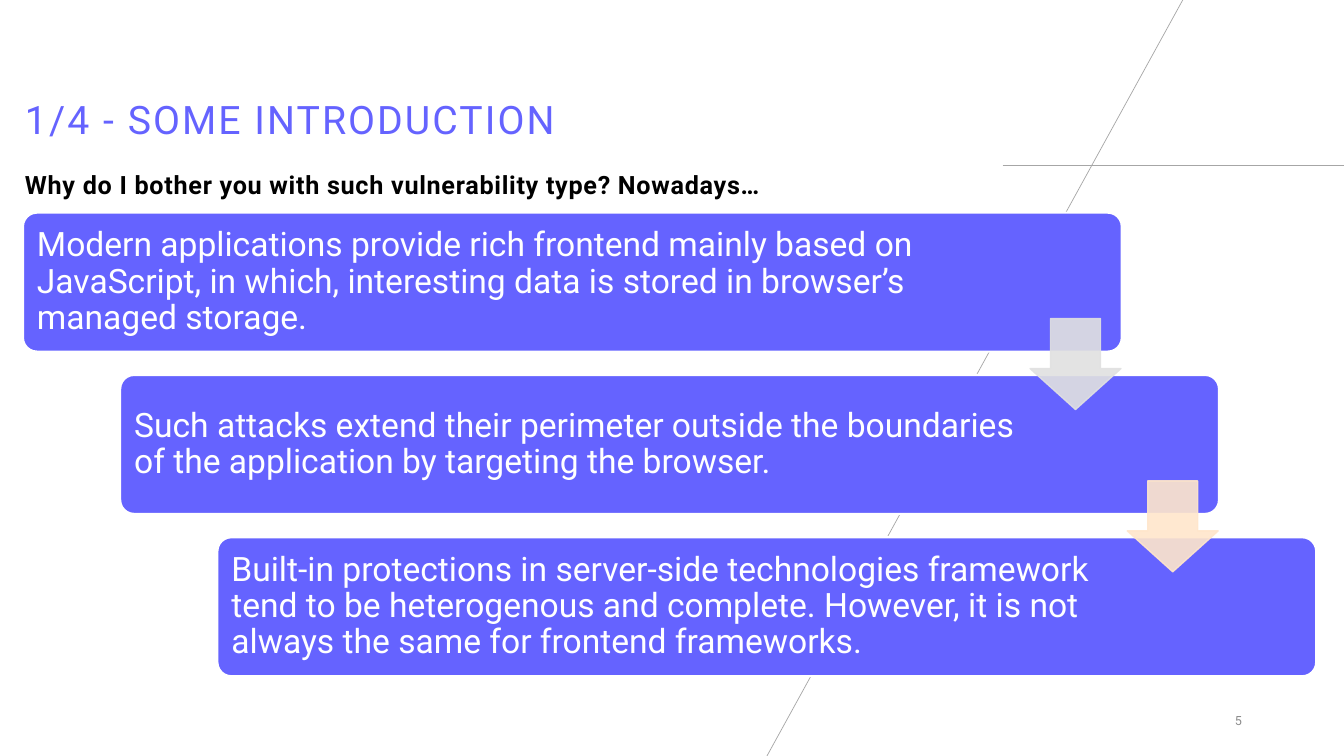
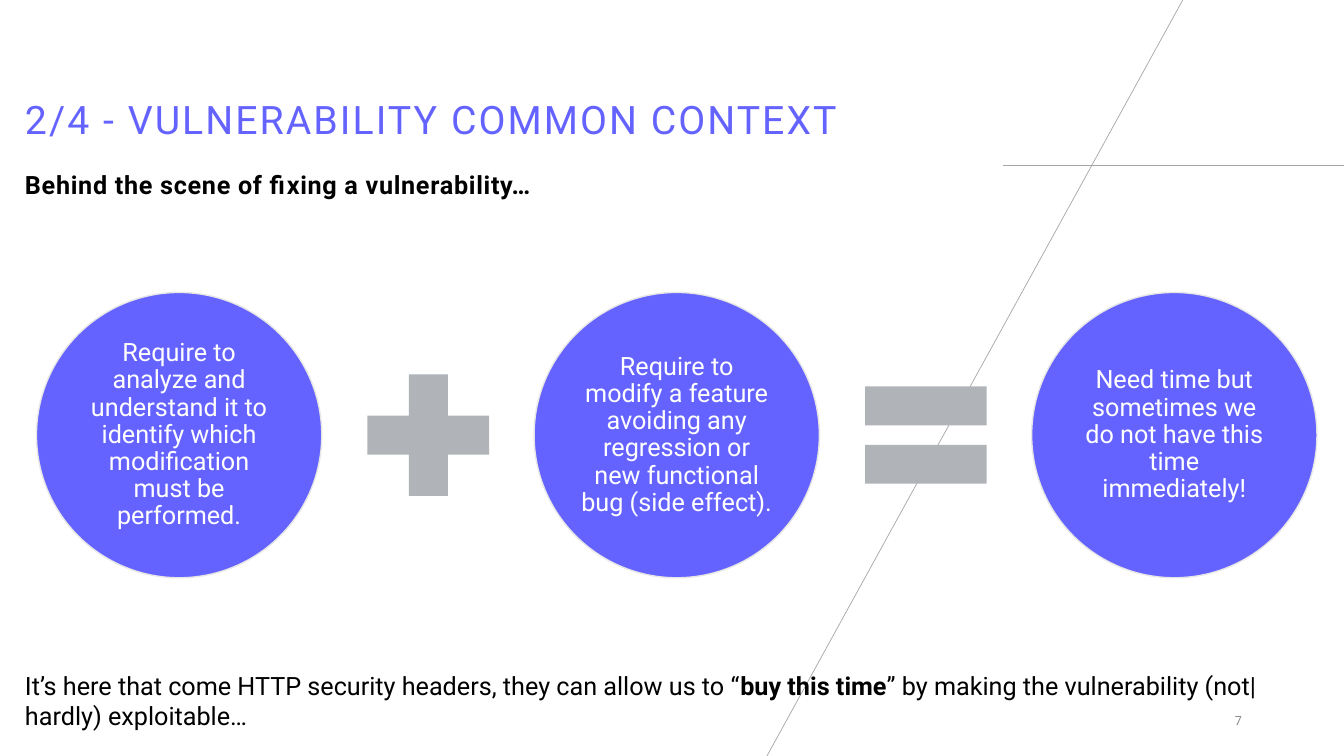
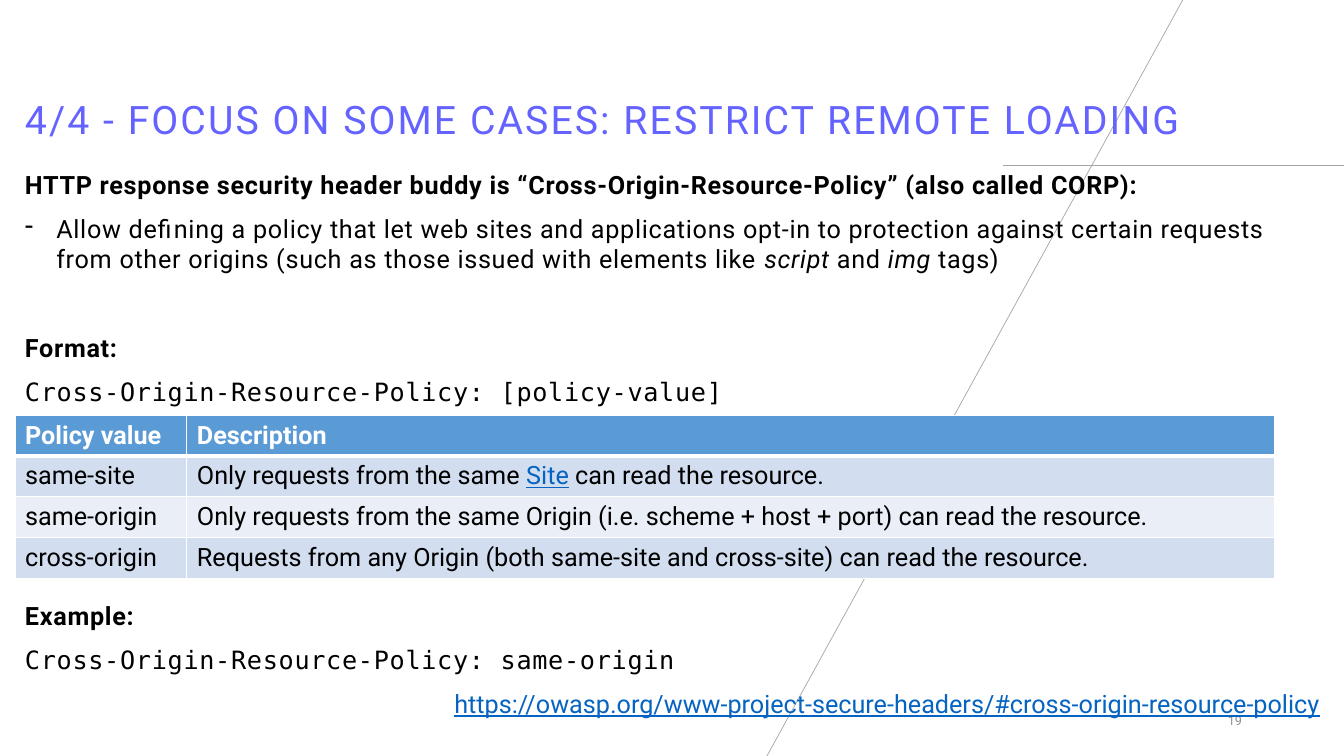
import pptx
import pptx.util
import pptx.dml.color
import pptx.enum.shapes
import pptx.enum.text
import pptx.oxml
import pptx.oxml.ns
from lxml import etree

Cm, Pt = pptx.util.Cm, pptx.util.Pt
RGBColor = pptx.dml.color.RGBColor
SHAPE = pptx.enum.shapes.MSO_SHAPE
ANCHOR = pptx.enum.text.MSO_ANCHOR
ALIGN = pptx.enum.text.PP_ALIGN
qn = pptx.oxml.ns.qn

VIOLET = RGBColor(0x65, 0x63, 0xFF)
WHITE = RGBColor(0xFF, 0xFF, 0xFF)
BLACK = RGBColor(0, 0, 0)
RULE_GRAY = RGBColor(0xA6, 0xA6, 0xA6)
NUMBER_GRAY = RGBColor(0x8C, 0x8C, 0x8C)
SYMBOL_GRAY = RGBColor(0xB0, 0xB4, 0xB9)
CIRCLE_EDGE = RGBColor(0xE7, 0xE6, 0xE6)
ARROW_GRAY = RGBColor(0xE1, 0xE1, 0xE1)
ARROW_PEACH = RGBColor(0xFF, 0xE6, 0xCB)
LINK_BLUE = RGBColor(0x05, 0x63, 0xC1)
HEADER_BLUE = RGBColor(0x5B, 0x9B, 0xD5)
ROW_DARK = RGBColor(0xD2, 0xDE, 0xEF)
ROW_LIGHT = RGBColor(0xEA, 0xEF, 0xF7)
FONT, MONO = "Roboto", "DejaVu Sans Mono"


def add_runs(p, runs, size=18, color=BLACK, spc=0, font=FONT):
    """Each run is (text, flags): b bold, i italic, l link look."""
    for text, flags in runs:
        r = p.add_run()
        r.text = text
        r.font.name, r.font.size = font, Pt(size)
        r.font.bold, r.font.italic = "b" in flags, "i" in flags
        r.font.underline = "l" in flags
        r.font.color.rgb = LINK_BLUE if "l" in flags else color
        if spc:
            r._r.get_or_add_rPr().set("spc", str(spc))


def add_box(s, x, y, w, h, anchor=ANCHOR.TOP):
    tf = s.shapes.add_textbox(Cm(x), Cm(y), Cm(w), Cm(h)).text_frame
    tf.word_wrap = True
    tf.vertical_anchor = anchor
    return tf


prs = pptx.Presentation()
prs.slide_width, prs.slide_height = Cm(33.87), Cm(19.05)

# Shared frame: crossing lines, title, page number, bold lead
pages = [
    ("1/4 - SOME INTRODUCTION", "5", 1.2,
     "Why do I bother you with such vulnerability type? Nowadays…"),
    ("2/4 - VULNERABILITY COMMON CONTEXT", "7", 1.2,
     "Behind the scene of fixing a vulnerability…"),
    ("4/4 - FOCUS ON SOME CASES: RESTRICT REMOTE LOADING", "19", 3.2,
     "HTTP response security header buddy is “Cross-Origin-Resource-Policy” (also called CORP):"),
]
slides, bodies = [], []
for title, number, body_height, lead in pages:
    s = prs.slides.add_slide(prs.slide_layouts[6])
    for x1, y1, x2, y2 in [(25.27, 4.17, 33.87, 4.17), (29.85, -0.08, 19.3, 19.1)]:
        line = s.shapes.add_connector(pptx.enum.shapes.MSO_CONNECTOR.STRAIGHT,
                                      Cm(x1), Cm(y1), Cm(x2), Cm(y2))
        line.line.color.rgb, line.line.width = RULE_GRAY, Pt(0.5)
        etree.SubElement(line._element.spPr, qn("a:effectLst"))
    p = add_box(s, 0.38, 0.38, 32.54, 3.35, ANCHOR.BOTTOM).paragraphs[0]
    p.line_spacing = 0.9
    add_runs(p, [(title, "")], 28, VIOLET, 150)
    p = add_box(s, 23.93, 17.65, 7.62, 1.02, ANCHOR.MIDDLE).paragraphs[0]
    p.alignment = ALIGN.RIGHT
    add_runs(p, [(number, "")], 9, NUMBER_GRAY)
    tf = add_box(s, 0.38, 4.14, 32.7, body_height)
    add_runs(tf.paragraphs[0], [(lead, "b")], spc=50)
    slides.append(s)
    bodies.append(tf)

# Slide 1: staircase of statements
s = slides[0]
STEP_X, STEP_Y = 2.45, 4.09
statements = [
    "Modern applications provide rich frontend mainly based on JavaScript, in which, interesting data is stored in browser’s managed storage.",
    "Such attacks extend their perimeter outside the boundaries of the application by targeting the browser.",
    "Built-in protections in server-side technologies framework tend to be heterogenous and complete. However, it is not always the same for frontend frameworks.",
]
for i, statement in enumerate(statements):
    sp = s.shapes.add_shape(SHAPE.ROUNDED_RECTANGLE, Cm(0.58 + i * STEP_X),
                            Cm(5.36 + i * STEP_Y), Cm(27.69), Cm(3.5))
    sp.shadow.inherit = False
    sp.adjustments[0] = 0.1
    sp.fill.solid()
    sp.fill.fore_color.rgb = VIOLET
    sp.line.color.rgb, sp.line.width = WHITE, Pt(1.5)
    tf = sp.text_frame
    tf.word_wrap = True
    tf.vertical_anchor = ANCHOR.MIDDLE
    tf.margin_left, tf.margin_right = Cm(0.25), Cm(4.95)
    p = tf.paragraphs[0]
    p.alignment, p.line_spacing = ALIGN.LEFT, 0.9
    add_runs(p, [(statement, "")], 24, WHITE)

for i, color in enumerate([ARROW_GRAY, ARROW_PEACH]):
    sp = s.shapes.add_shape(SHAPE.DOWN_ARROW, Cm(25.96 + i * STEP_X),
                            Cm(8.03 + i * STEP_Y), Cm(2.29), Cm(2.29))
    sp.shadow.inherit = False
    sp.adjustments[0], sp.adjustments[1] = 0.55, 0.45
    sp.fill.solid()
    sp.fill.fore_color.rgb = color
    sp.line.color.rgb, sp.line.width = color, Pt(1)
    for clr in sp._element.spPr.iter(qn("a:srgbClr")):
        etree.SubElement(clr, qn("a:alpha")).set("val", "90000")

# Slide 2: circle + circle = circle
s = slides[1]
PITCH = 12.54
reasons = [
    "Require to analyze and understand it to identify which modification must be performed.",
    "Require to modify a feature avoiding any regression or new functional bug (side effect).",
    "Need time but sometimes we do not have this time immediately!",
]
for i, reason in enumerate(reasons):
    sp = s.shapes.add_shape(SHAPE.OVAL, Cm(0.92 + i * PITCH), Cm(7.37), Cm(7.19), Cm(7.19))
    sp.shadow.inherit = False
    sp.fill.solid()
    sp.fill.fore_color.rgb = VIOLET
    sp.line.color.rgb, sp.line.width = CIRCLE_EDGE, Pt(1)
    tf = sp.text_frame
    tf.word_wrap = True
    tf.vertical_anchor = ANCHOR.MIDDLE
    tf.margin_left = tf.margin_right = tf.margin_top = tf.margin_bottom = Cm(0.08)
    p = tf.paragraphs[0]
    p.alignment, p.line_spacing = ALIGN.CENTER, 0.9
    add_runs(p, [(reason, "")], 18, WHITE)

for i, symbol in enumerate([SHAPE.MATH_PLUS, SHAPE.MATH_EQUAL]):
    sp = s.shapes.add_shape(symbol, Cm(8.71 + i * PITCH), Cm(8.88), Cm(4.17), Cm(4.17))
    sp.shadow.inherit = False
    sp.fill.solid()
    sp.fill.fore_color.rgb = SYMBOL_GRAY
    sp.line.fill.background()

tf = add_box(s, 0.38, 16.76, 33.38, 1.8)
add_runs(tf.paragraphs[0], [
    ("It’s here that come HTTP security headers, they can allow us to “", ""),
    ("buy this time", "b"),
    ("” by making the vulnerability (not|hardly) exploitable…", "")])

# Slide 3: bullet under the lead
s = slides[2]
p = bodies[2].add_paragraph()
p.space_before = Pt(10)
pPr = p._p.get_or_add_pPr()
pPr.set("marL", str(Cm(0.79)))
pPr.set("indent", str(-Cm(0.79)))
etree.SubElement(pPr, qn("a:buChar")).set("char", "-")
add_runs(p, [
    ("Allow defining a policy that let web sites and applications opt-in to protection against certain requests from other origins (such as those issued with elements like ", ""),
    ("script", "i"), (" and ", ""), ("img", "i"), (" tags)", "")], spc=50)

# Format and example headers
for y, label, code in [
    (8.25, "Format:", "Cross-Origin-Resource-Policy: [policy-value]"),
    (15, "Example:", "Cross-Origin-Resource-Policy: same-origin"),
]:
    tf = add_box(s, 0.38, y, 32.7, 2.1)
    add_runs(tf.paragraphs[0], [(label, "b")], spc=50)
    p = tf.add_paragraph()
    p.space_before = Pt(10)
    add_runs(p, [(code, "")], spc=50, font=MONO)

# Source address
tf = add_box(s, 11.2, 17.22, 22.6, 1.02)
add_runs(tf.paragraphs[0], [
    ("https://owasp.org/www-project-secure-headers/#cross-origin-resource-policy", "l")])

# Policy table
rows = [
    ("Policy value", [("Description", "b")]),
    ("same-site", [("Only requests from the same ", ""), ("Site", "l"),
                   (" can read the resource.", "")]),
    ("same-origin", [("Only requests from the same Origin (i.e. scheme + host + port) can read the resource.", "")]),
    ("cross-origin", [("Requests from any Origin (both same-site and cross-site) can read the resource.", "")]),
]
table = s.shapes.add_table(4, 2, Cm(0.38), Cm(10.46), Cm(31.74), Cm(4.12)).table
table.columns[0].width, table.columns[1].width = Cm(4.33), Cm(27.41)
for i, (value, description) in enumerate(rows):
    table.rows[i].height = Cm(1.03)
    fill = HEADER_BLUE if i == 0 else ROW_DARK if i % 2 else ROW_LIGHT
    for j, runs in enumerate([[(value, "" if i else "b")], description]):
        cell = table.cell(i, j)
        cell.vertical_anchor = ANCHOR.MIDDLE
        tcPr = cell._tc.get_or_add_tcPr()
        for side in "LRTB":
            thick = (i, side) in [(0, "B"), (1, "T")]
            ln = etree.SubElement(tcPr, qn("a:ln" + side))
            ln.set("w", str(Pt(3 if thick else 1)))
            solid = etree.SubElement(ln, qn("a:solidFill"))
            etree.SubElement(solid, qn("a:srgbClr")).set("val", str(WHITE))
        cell.fill.solid()
        cell.fill.fore_color.rgb = fill
        add_runs(cell.text_frame.paragraphs[0], runs, color=BLACK if i else WHITE)

prs.save("out.pptx")
